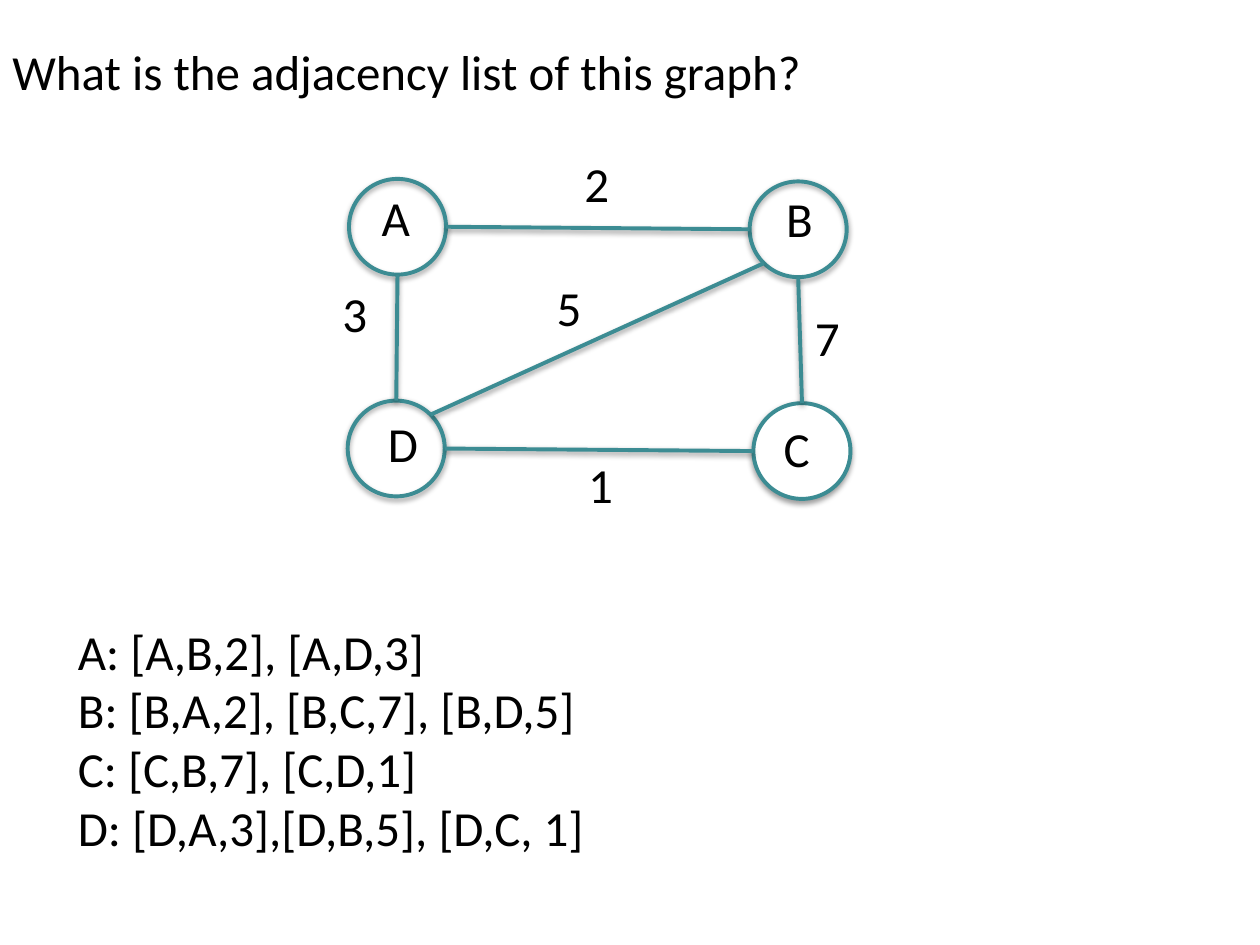
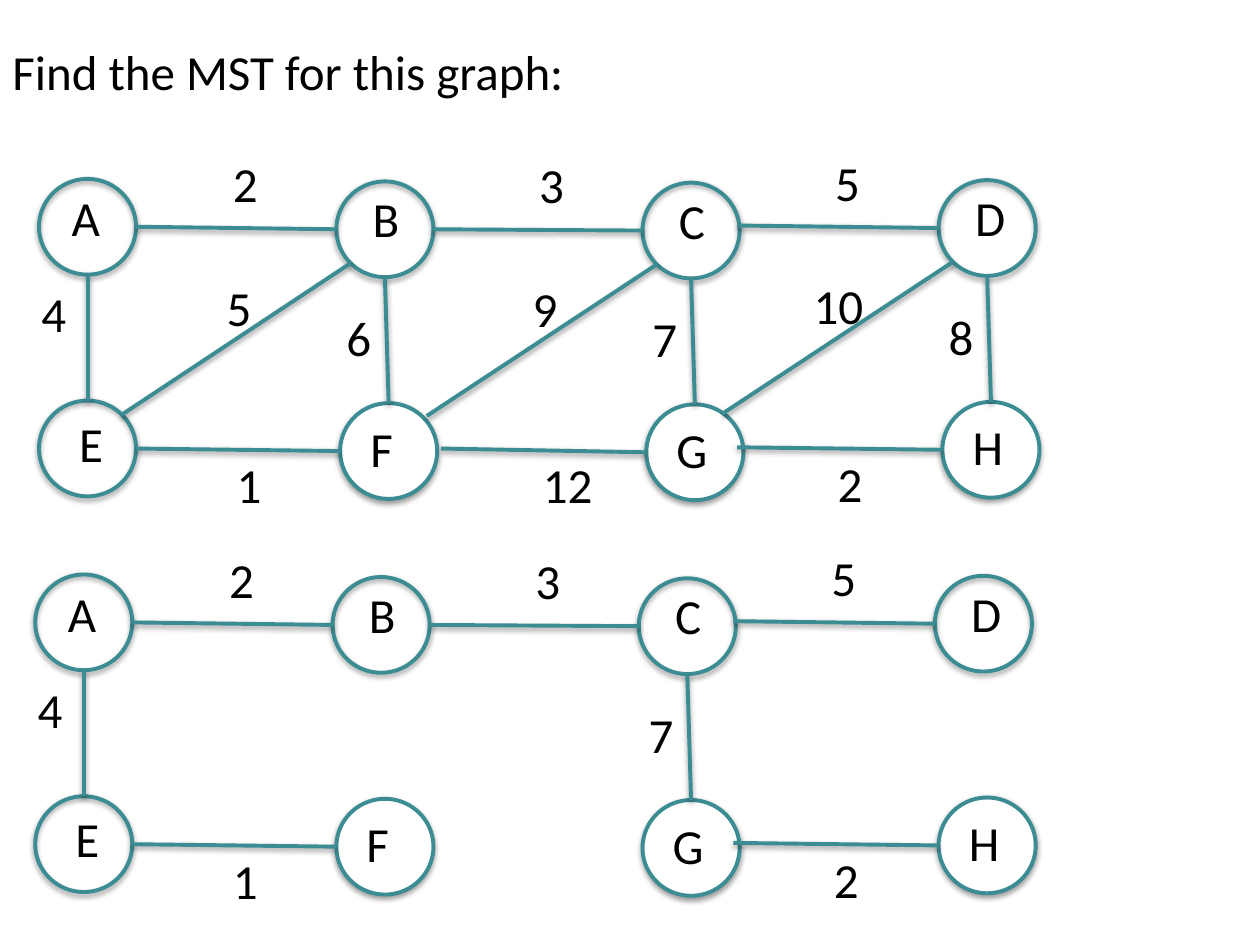
from dataclasses import dataclass
from math import sqrt
from typing import NamedTuple

from lxml import etree
from pptx import Presentation
from pptx.dml.color import RGBColor
from pptx.enum.shapes import MSO_CONNECTOR as Connector, MSO_SHAPE as Preset
from pptx.oxml.ns import qn
from pptx.slide import Slide
from pptx.util import Inches, Pt

TEAL = RGBColor(0x3C, 0x8C, 0x93)
BLACK = RGBColor(0, 0, 0)
WHITE = RGBColor(0xFF, 0xFF, 0xFF)
FONT = "Calibri"
TEXT_SIZE = Pt(28)
LINE_WIDTH = Pt(2.25)
NODE_WIDTH, NODE_HEIGHT = 0.77, 0.76
LABEL_HEIGHT = 0.57
LETTER_WIDTHS = {"A": 0.43, "B": 0.42, "C": 0.41, "D": 0.44,
                 "E": 0.39, "F": 0.38, "G": 0.45, "H": 0.45}


class Offset(NamedTuple):
    x: float = 0
    y: float = 0


DIAGONAL = 1 / sqrt(2)
TOP = Offset(0, -1)
BOTTOM = Offset(0, 1)
LEFT = Offset(-1, 0)
RIGHT = Offset(1, 0)
TOP_RIGHT = Offset(DIAGONAL, -DIAGONAL)
BOTTOM_LEFT = Offset(-DIAGONAL, DIAGONAL)

ACROSS = (RIGHT, LEFT)
DOWN = (BOTTOM, TOP)
SLANTED = (TOP_RIGHT, BOTTOM_LEFT)


@dataclass(frozen=True)
class NodeStyle:
    label: Offset
    filled: bool = False


FIRST_UPPER = NodeStyle(Offset(0.16, 0.02))
FIRST_LOWER = NodeStyle(Offset(0.22, 0.05))
UPPER = NodeStyle(Offset(0.19, 0.01))
LOWER = NodeStyle(Offset(0.14, 0.07), filled=True)


@dataclass(frozen=True)
class Node:
    left: float
    top: float
    style: NodeStyle

    def port(self, side: Offset) -> Offset:
        return Offset(self.left + NODE_WIDTH / 2 * (1 + side.x),
                      self.top + NODE_HEIGHT / 2 * (1 + side.y))


@dataclass(frozen=True)
class Edge:
    ends: str
    sides: tuple[Offset, Offset]
    weight: int
    label: Offset
    nudge: Offset = Offset()


SMALL_NODES = {
    "D": Node(2.76, 3.18, FIRST_LOWER),
    "B": Node(5.95, 1.44, UPPER),
    "C": Node(5.98, 3.2, LOWER),
    "A": Node(2.77, 1.42, FIRST_UPPER),
}
SMALL_EDGES = [
    Edge("DC", ACROSS, 1, Offset(4.57, 3.56)),
    Edge("BC", DOWN, 7, Offset(6.37, 2.39)),
    Edge("AD", DOWN, 3, Offset(2.62, 2.2)),
    Edge("AB", ACROSS, 2, Offset(4.54, 1.17)),
    Edge("DB", SLANTED, 5, Offset(4.32, 2.15)),
]
LARGE_NODES = {
    "A": Node(0.31, 1.42, FIRST_UPPER),
    "B": Node(2.67, 1.44, UPPER),
    "C": Node(5.1, 1.45, UPPER),
    "D": Node(7.45, 1.43, UPPER),
    "E": Node(0.31, 3.18, FIRST_LOWER),
    "F": Node(2.7, 3.2, LOWER),
    "G": Node(5.13, 3.21, LOWER),
    "H": Node(7.48, 3.19, LOWER),
}
LARGE_EDGES = [
    Edge("AB", ACROSS, 2, Offset(1.75, 1.17)),
    Edge("BC", ACROSS, 3, Offset(4.18, 1.18)),
    Edge("CD", ACROSS, 5, Offset(6.53, 1.16), Offset(-0.02, -0.04)),
    Edge("EF", ACROSS, 1, Offset(1.78, 3.56)),
    Edge("FG", ACROSS, 12, Offset(4.21, 3.56), Offset(0.03, -0.02)),
    Edge("GH", ACROSS, 2, Offset(6.55, 3.55), Offset(-0.05, -0.04)),
    Edge("AE", DOWN, 4, Offset(0.23, 2.2)),
    Edge("BF", DOWN, 6, Offset(2.65, 2.39)),
    Edge("CG", DOWN, 7, Offset(5.08, 2.4)),
    Edge("DH", DOWN, 8, Offset(7.43, 2.38)),
    Edge("EB", SLANTED, 5, Offset(1.7, 2.15)),
    Edge("FC", SLANTED, 9, Offset(4.13, 2.16), Offset(0.03, -0.01)),
    Edge("GD", SLANTED, 10, Offset(6.36, 2.14), Offset(-0.05, -0.04)),
]
TREE_ENDS = {"AB", "BC", "CD", "AE", "CG", "EF", "GH"}
TREE_EDGES = [edge for edge in LARGE_EDGES if edge.ends in TREE_ENDS]
TREE_SHIFT = Offset(-0.03, 3.14)
ADJACENCY_LIST = [
    "A: [A,B,2], [A,D,3]",
    "B: [B,A,2], [B,C,7], [B,D,5]",
    "C: [C,B,7], [C,D,1]",
    "D: [D,A,3],[D,B,5], [D,C, 1]",
]


def add_text(shapes, lines: list[str], left: float, top: float, width: float,
             height: float = LABEL_HEIGHT, wrap: bool = False) -> None:
    box = shapes.add_textbox(Inches(left), Inches(top), Inches(width), Inches(height))
    frame = box.text_frame
    frame.word_wrap = wrap
    for index, line in enumerate(lines):
        para = frame.add_paragraph() if index else frame.paragraphs[0]
        span = para.add_run()
        span.text = line
        span.font.name = FONT
        span.font.size = TEXT_SIZE
        span.font.color.rgb = BLACK


def style_outline(shape) -> None:
    shape.line.color.rgb = TEAL
    shape.line.width = LINE_WIDTH
    effects = etree.SubElement(shape._element.spPr, qn("a:effectLst"))
    shadow = etree.SubElement(effects, qn("a:outerShdw"), blurRad="40000",
                              dist="20000", dir="5400000", rotWithShape="0")
    color = etree.SubElement(shadow, qn("a:srgbClr"), val=str(BLACK))
    etree.SubElement(color, qn("a:alpha"), val="38000")


def add_node(page: Slide, name: str, node: Node, shift: Offset) -> None:
    left, top = node.left + shift.x, node.top + shift.y
    group = page.shapes.add_group_shape()
    circle = group.shapes.add_shape(Preset.OVAL, Inches(left), Inches(top),
                                    Inches(NODE_WIDTH), Inches(NODE_HEIGHT))
    if node.style.filled:
        circle.fill.solid()
        circle.fill.fore_color.rgb = WHITE
    else:
        circle.fill.background()
    style_outline(circle)
    label = node.style.label
    add_text(group.shapes, [name], left + label.x, top + label.y, LETTER_WIDTHS[name])


def add_edge(page: Slide, edge: Edge, nodes: dict[str, Node], shift: Offset) -> None:
    start, end = (nodes[name].port(side) for name, side in zip(edge.ends, edge.sides))
    line = page.shapes.add_connector(
        Connector.STRAIGHT,
        Inches(start.x + edge.nudge.x + shift.x), Inches(start.y + edge.nudge.y + shift.y),
        Inches(end.x + shift.x), Inches(end.y + shift.y))
    style_outline(line)
    weight = str(edge.weight)
    add_text(page.shapes, [weight], edge.label.x + shift.x, edge.label.y + shift.y,
             0.2 + 0.2 * len(weight))


def add_graph(page: Slide, nodes: dict[str, Node], edges: list[Edge],
              shift: Offset = Offset()) -> None:
    for name, node in nodes.items():
        add_node(page, name, node, shift)
    for edge in edges:
        add_edge(page, edge, nodes, shift)


def add_page(deck, title: str) -> Slide:
    page = deck.slides.add_slide(deck.slide_layouts[6])
    add_text(page.shapes, [title], 0, 0.28, 9.52, wrap=True)
    return page


def main() -> None:
    deck = Presentation()
    deck.slide_width, deck.slide_height = Inches(10), Inches(7.5)

    adjacency_page = add_page(deck, "What is the adjacency list of this graph?")
    add_graph(adjacency_page, SMALL_NODES, SMALL_EDGES)
    add_text(adjacency_page.shapes, ADJACENCY_LIST, 0.52, 4.88, 4.29, 1.99)

    tree_page = add_page(deck, "Find the MST for this graph:")
    add_graph(tree_page, LARGE_NODES, LARGE_EDGES)
    add_graph(tree_page, LARGE_NODES, TREE_EDGES, TREE_SHIFT)

    deck.save("out.pptx")


if __name__ == "__main__":
    main()
